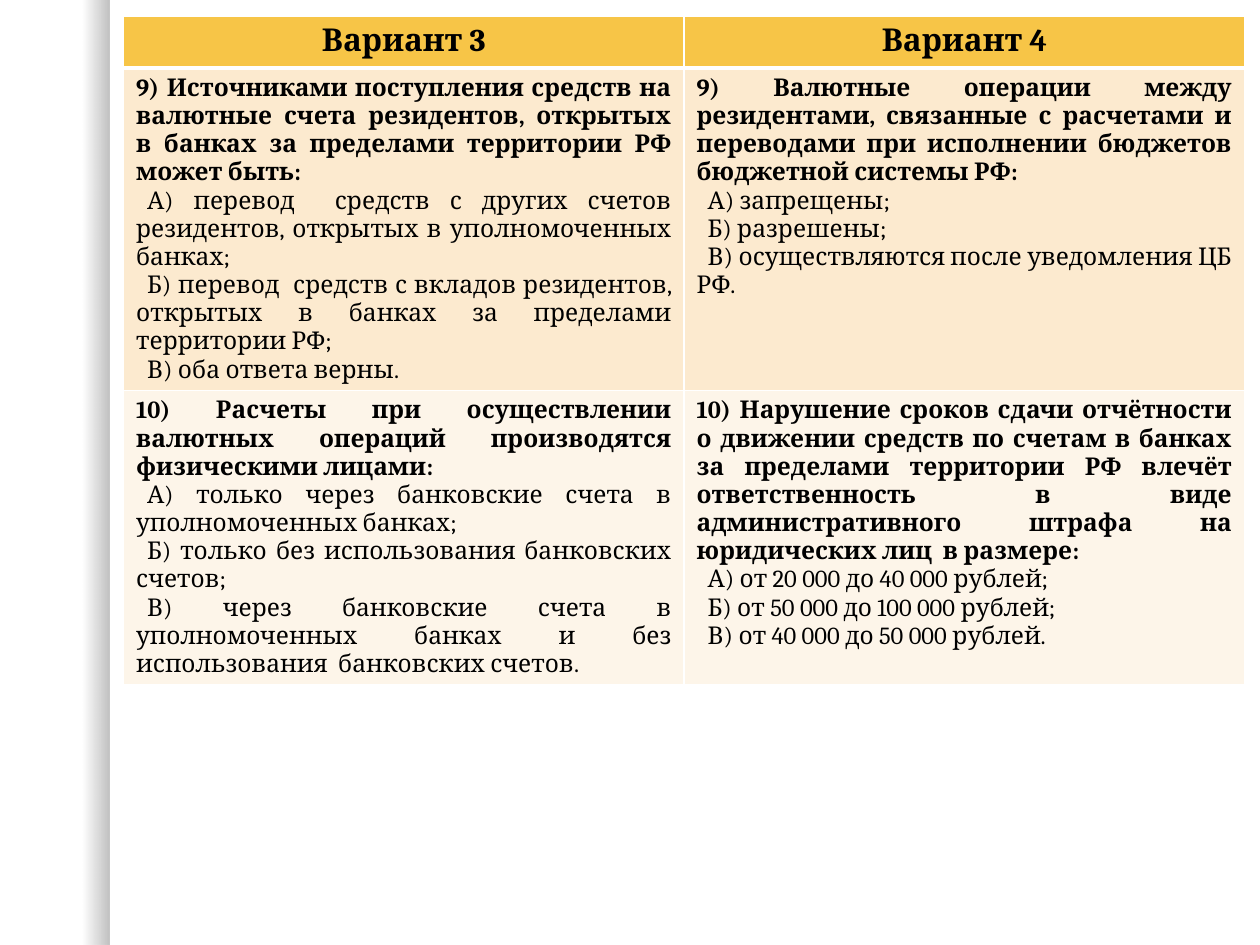
from lxml import etree
from pptx import Presentation
from pptx import util as u
from pptx.dml.color import RGBColor
from pptx.enum import shapes, text
from pptx.oxml.ns import qn

HEADINGS = ["Вариант 3", "Вариант 4"]
# Each row holds one question per variant: (question, answers)
QUESTIONS = [
    [
        ("9) Источниками поступления средств на валютные счета резидентов, "
         "открытых в банках за пределами территории РФ может быть:",
         ["А) перевод  средств с других счетов резидентов, открытых в уполномоченных банках;",
          "Б) перевод  средств с вкладов резидентов, открытых в банках за пределами территории РФ;",
          "В) оба ответа верны."]),
        ("9) Валютные операции между резидентами, связанные с расчетами и "
         "переводами при исполнении бюджетов бюджетной системы РФ:",
         ["А) запрещены;",
          "Б) разрешены;",
          "В) осуществляются после уведомления ЦБ РФ."]),
    ],
    [
        ("10) Расчеты при осуществлении валютных операций производятся физическими лицами:",
         ["А) только через банковские счета в уполномоченных банках;",
          "Б) только без использования банковских счетов;",
          "В) через банковские счета в уполномоченных банках и без использования  банковских счетов."]),
        ("10) Нарушение сроков сдачи отчётности о движении средств по счетам в банках "
         "за пределами территории РФ влечёт ответственность в виде "
         "административного штрафа на юридических лиц  в размере:",
         ["А) от 20 000 до 40 000 рублей;",
          "Б) от 50 000 до 100 000 рублей;",
          "В) от 40 000 до 50 000 рублей."]),
    ],
]
ROW_FILLS = ["F7C547", "FCEACF", "FDF5E9"]
ROW_HEIGHTS = [1.04, 4.37, 3.81]
COLUMN_WIDTH = 11.3
FONT, INK, BORDER = "Cambria", "000000", "FFFFFF"
ANSWER_INDENT = 0.22


def color(value):
    return RGBColor.from_string(value)


def add_side_shade(slide, height):
    """Draw the left strip that darkens towards its right edge."""
    strip = slide.shapes.add_shape(shapes.MSO_SHAPE.RECTANGLE, 0, 0, u.Cm(2.21), height)
    strip.shadow.inherit = False
    strip.line.fill.background()
    strip.fill.gradient()
    strip.fill.gradient_angle = 0
    for stop, position, opacity in zip(strip.fill.gradient_stops, (0.75, 1), (0, 25)):
        stop.position = position
        stop.color.rgb = color(INK)
        tint = stop.color._xFill if hasattr(stop.color, "_xFill") else None
    tints = strip._element.spPr.findall(".//" + qn("a:srgbClr"))
    for tint, opacity in zip(tints, (0, 25)):
        etree.SubElement(tint, qn("a:alpha"), val=str(opacity * 1000))


def style_cell(cell, fill, bottom_width):
    # Borders must come before the fill in the cell properties
    properties = cell._tc.get_or_add_tcPr()
    for side, width in zip("LRTB", (1, 1, 1, bottom_width)):
        line = etree.SubElement(properties, qn("a:ln" + side), w=str(u.Pt(width)))
        solid = etree.SubElement(line, qn("a:solidFill"))
        etree.SubElement(solid, qn("a:srgbClr"), val=BORDER)
    cell.fill.solid()
    cell.fill.fore_color.rgb = color(fill)


def write(para, words, size, bold, align, indent=0):
    para.alignment = align
    if indent:
        para._p.get_or_add_pPr().set("indent", str(u.Cm(indent)))
    span = para.add_run()
    span.text = words
    span.font.name = FONT
    span.font.size = u.Pt(size)
    span.font.bold = bold
    span.font.color.rgb = color(INK)


def add_questions(slide):
    rows, columns = len(QUESTIONS) + 1, len(HEADINGS)
    table = slide.shapes.add_table(
        rows, columns, u.Cm(2.49), u.Cm(0.33),
        u.Cm(COLUMN_WIDTH * columns), u.Cm(sum(ROW_HEIGHTS))).table
    for column in table.columns:
        column.width = u.Cm(COLUMN_WIDTH)
    for index, (height, fill) in enumerate(zip(ROW_HEIGHTS, ROW_FILLS)):
        table.rows[index].height = u.Cm(height)
        for cell in table.rows[index].cells:
            style_cell(cell, fill, 1 if index else 3)

    for column, heading in enumerate(HEADINGS):
        para = table.cell(0, column).text_frame.paragraphs[0]
        write(para, heading, 18, True, text.PP_ALIGN.CENTER)
    for row, variants in enumerate(QUESTIONS, start=1):
        for column, (question, answers) in enumerate(variants):
            frame = table.cell(row, column).text_frame
            write(frame.paragraphs[0], question, 14, True, text.PP_ALIGN.JUSTIFY)
            for answer in answers:
                write(frame.add_paragraph(), answer, 14, False,
                      text.PP_ALIGN.JUSTIFY, ANSWER_INDENT)


def main():
    deck = Presentation()
    deck.slide_width, deck.slide_height = u.Cm(25.4), u.Cm(19.05)
    slide = deck.slides.add_slide(deck.slide_layouts[6])
    add_side_shade(slide, deck.slide_height)
    add_questions(slide)
    deck.save("out.pptx")


if __name__ == "__main__":
    main()
